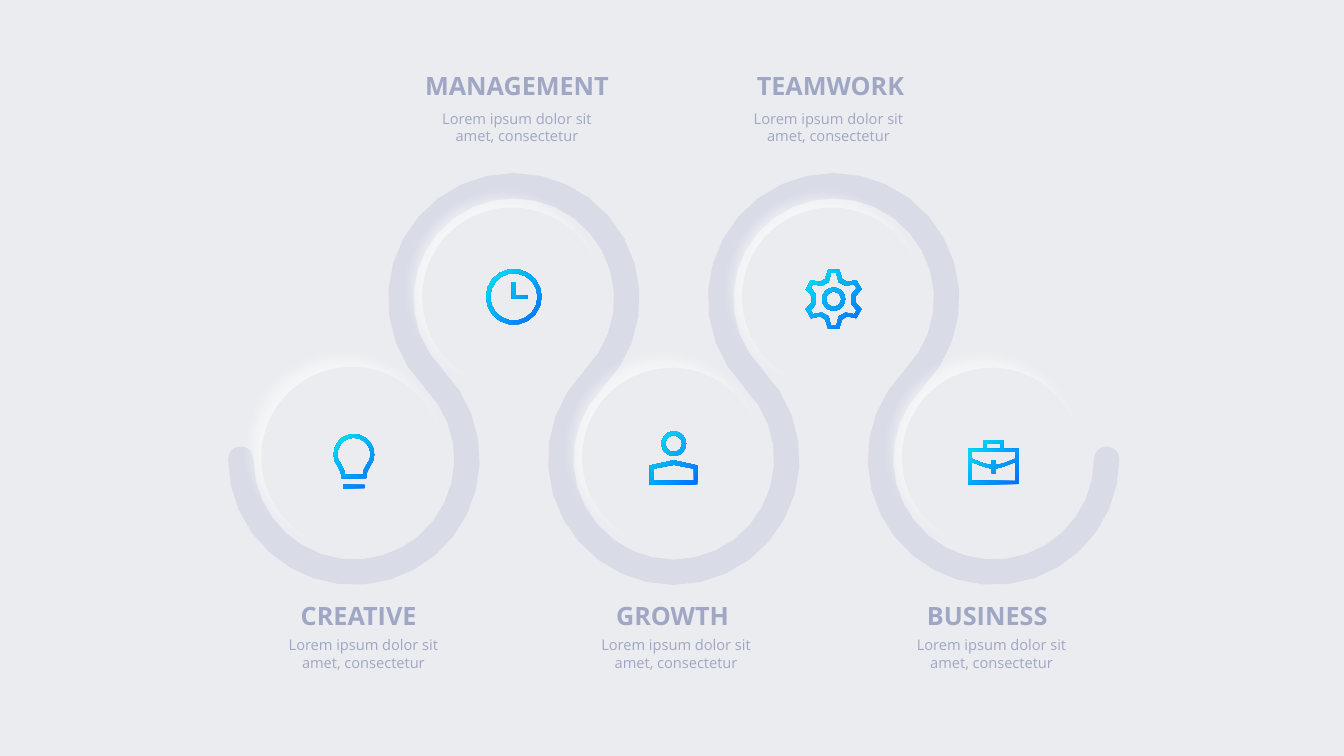
from dataclasses import dataclass
from math import cos, radians, sin

from lxml import etree
from pptx import Presentation
from pptx import util as u
from pptx.dml.color import RGBColor
from pptx.enum import shapes, text
from pptx.oxml.ns import qn

COLORS = {"background": "EBECF0", "ribbon": "D9DCE7", "label": "9FA7C4",
          "glow": "FFFFFF", "blue": "006EFF", "cyan": "00E6F2"}
DESCRIPTION = "Lorem ipsum dolor sit amet, consectetur"

# Layout in centimetres
FIRST_X, STEP_X = 8.92, 4.03
LOW_Y, HIGH_Y = 11.57, 7.53
RADIUS, HALF_WIDTH = 2.85, 0.32


@dataclass
class Step:
    title: str
    title_x: float
    title_width: float
    description_x: float
    disc: float
    icon: str
    icon_y: float


STEPS = [
    Step("CREATIVE", 9.04, 2.95, 9.16, 4.57, "bulb", 11.62),
    Step("MANAGEMENT", 13.03, 4.67, 13.03, 4.52, "clock", 7.48),
    Step("GROWTH", 16.95, 2.87, 17.04, 4.52, "person", 11.54),
    Step("TEAMWORK", 20.93, 3.76, 20.88, 4.52, "gear", 7.54),
    Step("BUSINESS", 24.88, 3.07, 24.99, 4.52, "briefcase", 11.65),
]


# Outline helpers
def arc(x, y, radius, start, end, step=20):
    count = round(abs(end - start) / step)
    angles = [radians(start + (end - start) * i / count) for i in range(count + 1)]
    return [(x + radius * cos(a), y + radius * sin(a)) for a in angles]


def ring(y, outer, inner):
    return [arc(0, y, radius, 0, 360)[:-1] for radius in (outer, inner)]


def mirror(right):
    return right + [(-x, y) for x, y in reversed(right)]


def four_way(quarter):
    return mirror(quarter + [(x, -y) for x, y in reversed(quarter)])


def center(index):
    return FIRST_X + STEP_X * index, HIGH_Y if index % 2 else LOW_Y


def ribbon_outline():
    last = len(STEPS) - 1
    sides = {1: [], -1: []}
    for index in range(len(STEPS)):
        x, y = center(index)
        if index % 2:
            start, end, turn = 135, 405, -1
        else:
            start, end, turn = 225 if index else 180, -45 if index < last else 0, 1
        for side, points in sides.items():
            points += arc(x, y, RADIUS + side * turn * HALF_WIDTH, start, end, 12)
    first_cap = arc(FIRST_X - RADIUS, LOW_Y, HALF_WIDTH, 0, -180)
    last_cap = arc(center(last)[0] + RADIUS, LOW_Y, HALF_WIDTH, 0, -180)
    return sides[1] + last_cap + sides[-1][::-1] + first_cap


# Icon contours around each icon's centre
ICONS = {
    "bulb": [
        mirror([(0.27, 0.6), (0.27, 0.68)]),
        mirror(arc(0, -0.17, 0.51, -90, 20) + [(0.42, 0.1), (0.33, 0.28), (0.31, 0.43)]),
        mirror(arc(0, -0.17, 0.42, -90, 20) + [(0.35, 0.04), (0.25, 0.22), (0.23, 0.34)]),
    ],
    "clock": ring(0, 0.7, 0.6) + [
        [(-0.05, -0.37), (0.05, -0.37), (0.05, -0.04),
         (0.34, -0.04), (0.34, 0.05), (-0.05, 0.05)],
    ],
    "person": ring(-0.36, 0.31, 0.21) + [
        mirror([(0, 0.06), (0.6, 0.19), (0.6, 0.67)]),
        mirror([(0, 0.17), (0.51, 0.27), (0.51, 0.57)]),
    ],
    "gear": ring(0, 0.29, 0.19) + [
        four_way([(0.14, -0.74), (0.21, -0.51), (0.34, -0.43),
                  (0.57, -0.48), (0.7, -0.25), (0.55, -0.08)]),
        four_way([(0.07, -0.66), (0.13, -0.43), (0.3, -0.34),
                  (0.52, -0.38), (0.58, -0.28), (0.45, -0.12)]),
    ],
    "briefcase": [
        mirror([(0.25, -0.55), (0.25, -0.34), (0.64, -0.34), (0.64, 0.55)]),
        mirror([(0.18, -0.47), (0.18, -0.34)]),
        mirror([(0.55, -0.27), (0.55, -0.09), (0.25, 0.03), (0.05, 0.07), (0.05, -0.04)]),
        mirror([(0.05, 0.27), (0.05, 0.16), (0.27, 0.1), (0.55, -0.01), (0.55, 0.47)]),
    ],
}


class Deck:
    font = "Open Sans"

    def __init__(self):
        self.presentation = Presentation()
        self.presentation.slide_width = u.Cm(33.87)
        self.presentation.slide_height = u.Cm(19.05)
        self.slide = self.presentation.slides.add_slide(self.presentation.slide_layouts[6])
        self.paint(self.slide.background.fill, "background")

    def paint(self, fill, color):
        fill.solid()
        fill.fore_color.rgb = RGBColor.from_string(COLORS[color])

    def label(self, content, x, top, width, height, size, title=False):
        box = self.slide.shapes.add_textbox(
            u.Cm(x - width / 2), u.Cm(top), u.Cm(width), u.Cm(height))
        frame = box.text_frame
        frame.word_wrap = not title
        frame.auto_size = text.MSO_AUTO_SIZE.SHAPE_TO_FIT_TEXT
        if title:
            frame.margin_left = frame.margin_right = frame.margin_top = frame.margin_bottom = 0
        paragraph = frame.paragraphs[0]
        paragraph.text = content
        paragraph.alignment = text.PP_ALIGN.CENTER
        font = paragraph.font
        font.name, font.size, font.bold = self.font, u.Pt(size), title
        font.color.rgb = RGBColor.from_string(COLORS["label"])

    def outline(self, contours, x=0, y=0):
        placed = [[(u.Cm(x + px), u.Cm(y + py)) for px, py in contour] for contour in contours]
        builder = self.slide.shapes.build_freeform(*placed[0][0])
        for index, contour in enumerate(placed):
            if index:
                builder.move_to(*contour[0])
            builder.add_line_segments(contour[1:], close=True)
        shape = builder.convert_to_shape()
        shape.shadow.inherit = False
        shape.line.fill.background()
        return shape

    def ribbon(self):
        self.paint(self.outline([ribbon_outline()]).fill, "ribbon")

    def icon(self, name, x, y):
        fill = self.outline(ICONS[name], x, y).fill
        fill.gradient()
        fill.gradient_angle = 135
        for stop, color in zip(fill.gradient_stops, ("blue", "cyan")):
            stop.color.rgb = RGBColor.from_string(COLORS[color])

    def disc(self, x, y, size):
        shape = self.slide.shapes.add_shape(
            shapes.MSO_SHAPE.OVAL, u.Cm(x - size / 2), u.Cm(y - size / 2), u.Cm(size), u.Cm(size))
        self.paint(shape.fill, "background")
        shape.line.fill.background()
        shape.shadow.inherit = False
        # Soft light towards the upper left
        effects = shape._element.spPr.find(qn("a:effectLst"))
        glow = etree.SubElement(effects, qn("a:outerShdw"), blurRad=str(u.Pt(9)),
                                dist=str(u.Pt(9)), dir=str(225 * 60000), rotWithShape="0")
        color = etree.SubElement(glow, qn("a:srgbClr"), val=COLORS["glow"])
        etree.SubElement(color, qn("a:alpha"), val="56000")


def main():
    deck = Deck()
    # Titles
    for index, step in enumerate(STEPS):
        top = 1.78 if index % 2 else 15.14
        deck.label(step.title, step.title_x, top, step.title_width, 0.77, 18, title=True)
    # Winding ribbon and its discs
    deck.ribbon()
    for index, step in enumerate(STEPS):
        x, y = center(index)
        deck.disc(x - 0.05, y - 0.04, step.disc)
    # Descriptions
    for index, step in enumerate(STEPS):
        top = 2.64 if index % 2 else 15.9
        deck.label(DESCRIPTION, step.description_x, top, 4.27, 1.14, 10.5)
    # Icons
    for index, step in enumerate(STEPS):
        deck.icon(step.icon, center(index)[0], step.icon_y)
    deck.presentation.save("out.pptx")


if __name__ == "__main__":
    main()
